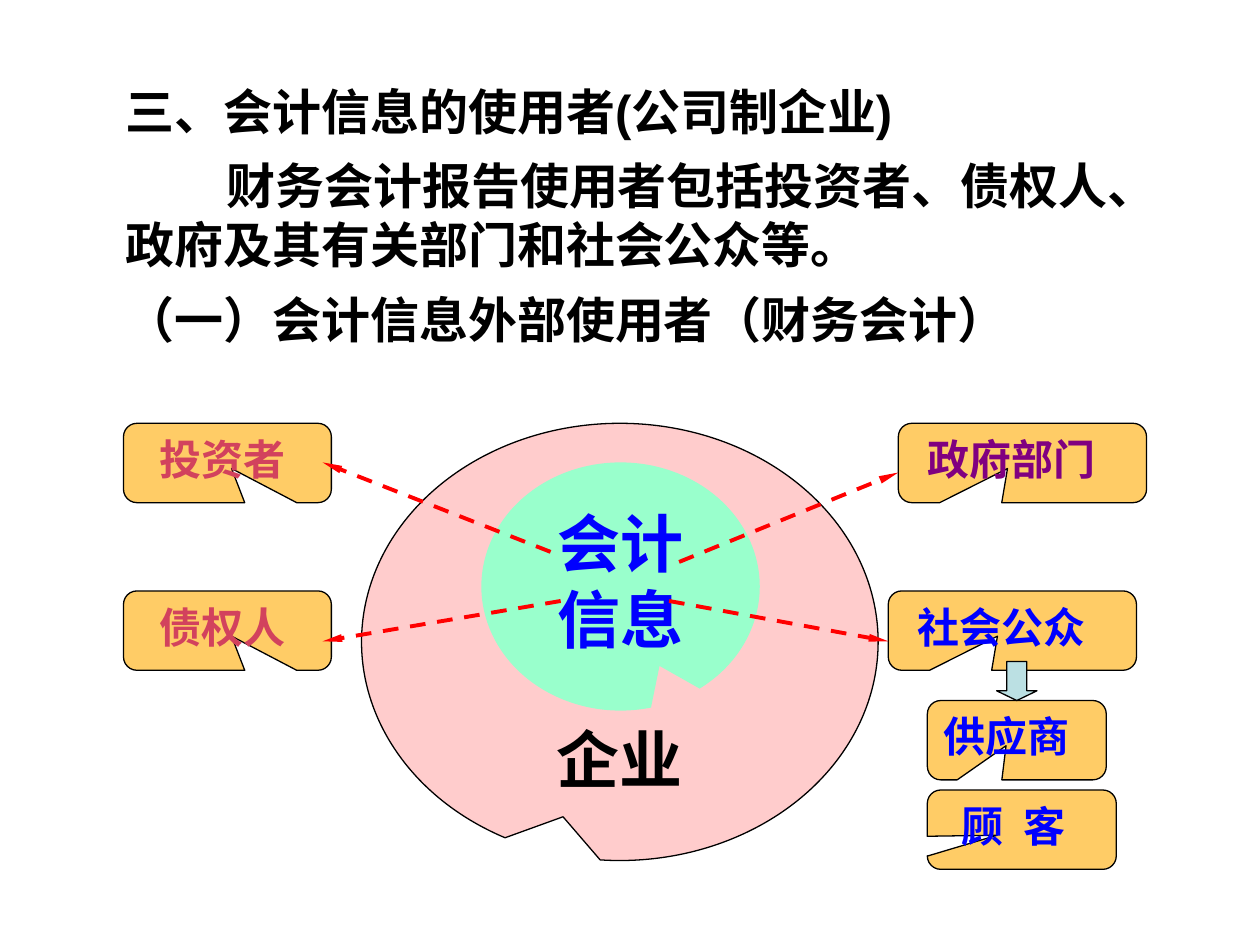
from lxml import etree
from pptx import Presentation
from pptx.dml.color import RGBColor
from pptx.enum.dml import MSO_LINE
from pptx.enum.shapes import MSO_CONNECTOR, MSO_SHAPE
from pptx.enum.text import MSO_ANCHOR, PP_ALIGN
from pptx.oxml.ns import qn
from pptx.util import Inches, Pt

ROUND_CALLOUT = MSO_SHAPE.ROUNDED_RECTANGULAR_CALLOUT
OVAL_CALLOUT = MSO_SHAPE.OVAL_CALLOUT
DOWN_ARROW = MSO_SHAPE.DOWN_ARROW
STRAIGHT = MSO_CONNECTOR.STRAIGHT
DASH = MSO_LINE.DASH
TOP, BOTTOM = MSO_ANCHOR.TOP, MSO_ANCHOR.BOTTOM
CENTER = PP_ALIGN.CENTER

COLORS = {
    "black": "000000", "orange": "FFCC66", "rose": "D2425D",
    "purple": "800080", "blue": "0000FF", "pink": "FFCCCC",
    "mint": "99FFCC", "red": "FF0000", "pale": "BBE0E3",
}

# Grid of 100 columns by 75 rows
presentation = Presentation()
presentation.slide_width, presentation.slide_height = Inches(10), Inches(7.5)
CELL = presentation.slide_width // 100
slide = presentation.slides.add_slide(presentation.slide_layouts[6])


def style_font(paragraph, size, color, name="Times New Roman"):
    font = paragraph.font
    font.name, font.size, font.bold = name, Pt(size), True
    font.color.rgb = RGBColor.from_string(COLORS[color])


def add_filled_shape(kind, box, fill, adjustments, outlined=True):
    shape = slide.shapes.add_shape(kind, *[round(cells * CELL) for cells in box])
    shape.shadow.inherit = False
    shape.fill.solid()
    shape.fill.fore_color.rgb = RGBColor.from_string(COLORS[fill])
    if outlined:
        shape.line.color.rgb = RGBColor.from_string(COLORS["black"])
        shape.line.width = Pt(0.75)
    else:
        shape.line.fill.background()
    for index, value in enumerate(adjustments):
        shape.adjustments[index] = value
    shape.text_frame.word_wrap = True
    shape.text_frame.vertical_anchor = TOP
    shape.text_frame.paragraphs[0].alignment = CENTER
    return shape


# Heading and introduction: text, first-line indent in columns
introduction = [
    ("三、会计信息的使用者(公司制企业)", 0),
    ("财务会计报告使用者包括投资者、债权人、政府及其有关部门和社会公众等。", 8),
    ("（一）会计信息外部使用者（财务会计）", 0),
]
body = slide.shapes.add_textbox(9 * CELL, 6 * CELL, round(86.6 * CELL), round(24.4 * CELL))
body.text_frame.word_wrap = True
for index, (text, indent) in enumerate(introduction):
    paragraph = body.text_frame.paragraphs[0] if index == 0 else body.text_frame.add_paragraph()
    paragraph.text = text
    if index:
        paragraph.space_before = Pt(8.8)
    if indent:
        paragraph._p.get_or_add_pPr().set("indent", str(indent * CELL))
    style_font(paragraph, 28, "black", "Arial")

# Enterprise and the accounting information inside it
ovals = [
    ("企业", (28.7, 33.6, 41, 34.7), "pink", "black", (-0.11, 0.4), True, BOTTOM),
    ("会计信息", (38.2, 36.7, 22.1, 19.7), "mint", "blue", (0.14, 0.32), False, TOP),
]
for text, box, fill, color, tip, outlined, anchor in ovals:
    oval = add_filled_shape(OVAL_CALLOUT, box, fill, tip, outlined)
    oval.text_frame.vertical_anchor = anchor
    oval.text_frame.margin_bottom = 0
    paragraph = oval.text_frame.paragraphs[0]
    paragraph.text = text
    style_font(paragraph, 36, color)

# External users: name, left, top, width, colour, tip, right inset, letter spacing
TOP_ROW, MIDDLE_ROW = 33.6, 46.9
LEFT_INSET = 0.2
users = [
    ("投资者", 9.8, TOP_ROW, 16.5, "rose", 0.02, 1, 0),
    ("债权人", 9.8, MIDDLE_ROW, 16.5, "rose", 0.02, 1, 0),
    ("政府部门", 71.3, TOP_ROW, 19.7, "purple", -0.06, 1.9, 0),
    ("社会公众", 70.5, MIDDLE_ROW, 19.7, "blue", -0.06, 1.9, 0),
    ("供应商", 73.6, 55.6, 14.2, "blue", -0.06, 1.9, 0),
    ("顾 客", 73.6, 62.7, 15, "blue", -0.13, 1.5, 3),
]
for name, left, top, width, color, tip, right_inset, spacing in users:
    callout = add_filled_shape(ROUND_CALLOUT, (left, top, width, 6.3), "orange", (tip, 0.07, 0.17))
    callout.text_frame.margin_left = round(LEFT_INSET * CELL)
    callout.text_frame.margin_right = round(right_inset * CELL)
    paragraph = callout.text_frame.paragraphs[0]
    run = paragraph.add_run()
    run.text = name
    if spacing:
        run._r.get_or_add_rPr().set("spc", str(spacing * 100))
    style_font(paragraph, 24, color)

# Dashed arrows from the information to its users
arrows = [
    (43.7, 43.8, 25.6, 36.7),
    (44.5, 47.7, 25.6, 50.9),
    (53.9, 44.6, 71.3, 37.5),
    (53.1, 47.7, 70.5, 50.9),
]
for ends in arrows:
    arrow = slide.shapes.add_connector(STRAIGHT, *[round(cells * CELL) for cells in ends])
    arrow.line.color.rgb = RGBColor.from_string(COLORS["red"])
    arrow.line.width = Pt(2.25)
    arrow.line.dash_style = DASH
    line = arrow.line._get_or_add_ln()
    etree.SubElement(line, qn("a:tailEnd"), type="triangle", w="sm", len="lg")
    etree.SubElement(arrow._element.spPr, qn("a:effectLst"))

# Block arrow from the public to suppliers and customers
add_filled_shape(DOWN_ARROW, (79.1, 52.5, 3.2, 3.1), "pale", (0.5, 0.25))

presentation.save("out.pptx")
